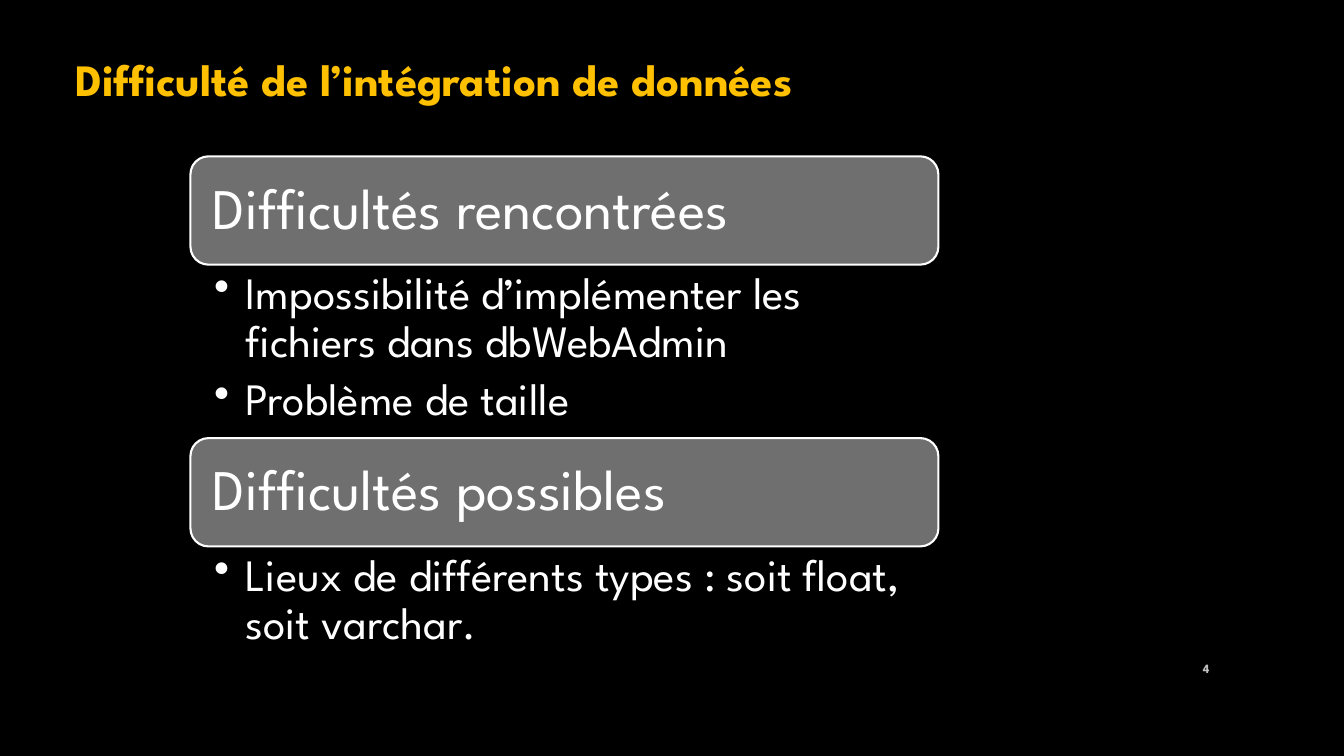
import pptx
import pptx.dml.color
import pptx.enum.shapes
import pptx.enum.text
import pptx.util
from lxml import etree

Cm = pptx.util.Cm
Pt = pptx.util.Pt
ANCHOR = pptx.enum.text.MSO_ANCHOR
ALIGN = pptx.enum.text.PP_ALIGN

WHITE = "FFFFFF"
LEFT, WIDTH = 4.8, 18.85
HEADING_HEIGHT = 2.73
SECTIONS = [
    ("Difficultés rencontrées", 4.37,
     ["Impossibilité d’implémenter les fichiers dans dbWebAdmin", "Problème de taille"]),
    ("Difficultés possibles", 2.82,
     ["Lieux de différents types : soit float, soit varchar."]),
]


def color(hex_string):
    return pptx.dml.color.RGBColor.from_string(hex_string)


def write(paragraph, text, size, hex_string, bold=False):
    """Fill a paragraph and format its run."""
    paragraph.text = text
    font = paragraph.runs[0].font
    font.name = "League Spartan"
    font.size = Pt(size)
    font.bold = bold
    font.color.rgb = color(hex_string)


presentation = pptx.Presentation()
presentation.slide_width = Cm(33.87)
presentation.slide_height = Cm(19.05)
slide = presentation.slides.add_slide(presentation.slide_layouts[6])
slide.background.fill.solid()
slide.background.fill.fore_color.rgb = color("000000")

# Slide number
number = slide.shapes.add_textbox(Cm(29.21), Cm(16.33), Cm(1.52), Cm(1.02))
number.text_frame.word_wrap = True
number.text_frame.vertical_anchor = ANCHOR.MIDDLE
write(number.text_frame.paragraphs[0], "4", 9, "BFBFBF", bold=True)
number.text_frame.paragraphs[0].alignment = ALIGN.RIGHT

# Title
title = slide.shapes.add_textbox(Cm(1.65), Cm(1.17), Cm(20.85), Cm(1.63))
title.text_frame.word_wrap = False
title.text_frame.auto_size = pptx.enum.text.MSO_AUTO_SIZE.SHAPE_TO_FIT_TEXT
write(title.text_frame.paragraphs[0], "Difficulté de l’intégration de données",
      32, "FFC000", bold=True)

# Stacked headings, each with its bullet list right below
top = 3.94
for heading_text, list_height, items in SECTIONS:
    heading = slide.shapes.add_shape(
        pptx.enum.shapes.MSO_SHAPE.ROUNDED_RECTANGLE,
        Cm(LEFT), Cm(top), Cm(WIDTH), Cm(HEADING_HEIGHT))
    heading.shadow.inherit = False
    heading.fill.solid()
    heading.fill.fore_color.rgb = color("6F6F6F")
    heading.line.color.rgb = color(WHITE)
    heading.line.width = Pt(1.5)
    frame = heading.text_frame
    frame.word_wrap = True
    frame.vertical_anchor = ANCHOR.MIDDLE
    frame.margin_left = frame.margin_right = Cm(0.43)
    frame.margin_top = frame.margin_bottom = Cm(0.43)
    paragraph = frame.paragraphs[0]
    write(paragraph, heading_text, 41, WHITE)
    paragraph.alignment = ALIGN.LEFT
    paragraph.line_spacing = 0.9
    top += HEADING_HEIGHT

    bullet_list = slide.shapes.add_textbox(Cm(LEFT), Cm(top), Cm(WIDTH), Cm(list_height))
    frame = bullet_list.text_frame
    frame.word_wrap = True
    frame.margin_left, frame.margin_right = Cm(0.6), Cm(0.81)
    frame.margin_top = frame.margin_bottom = Cm(0.15)
    frame.text = "\n".join(items)
    for paragraph, item in zip(frame.paragraphs, items):
        write(paragraph, item, 32, WHITE)
        paragraph.level = 1
        paragraph.line_spacing = 0.9
        paragraph.space_after = Pt(7)
        properties = paragraph._p.get_or_add_pPr()
        properties.set("marL", str(Cm(0.79)))
        properties.set("indent", str(-Cm(0.79)))
        bullet = etree.SubElement(properties, pptx.oxml.ns.qn("a:buChar"))
        bullet.set("char", "•")
    top += list_height

presentation.save("out.pptx")
